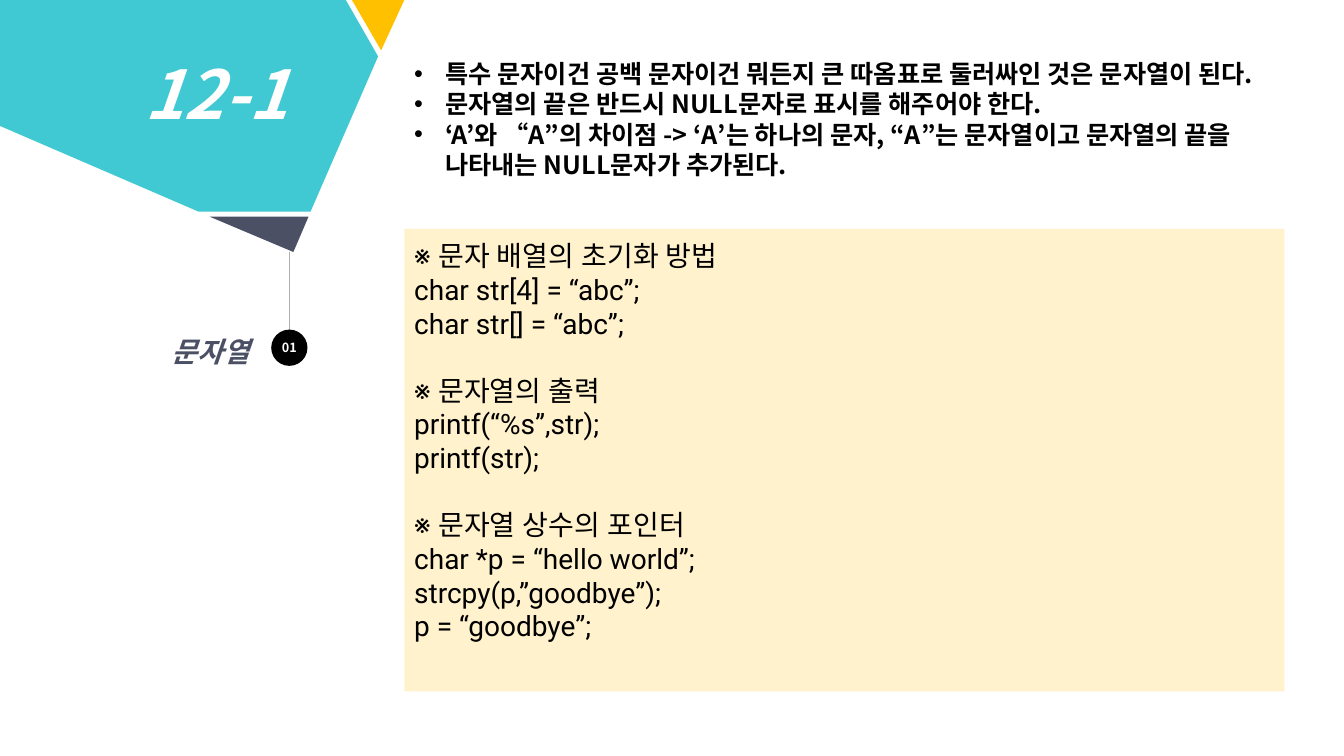
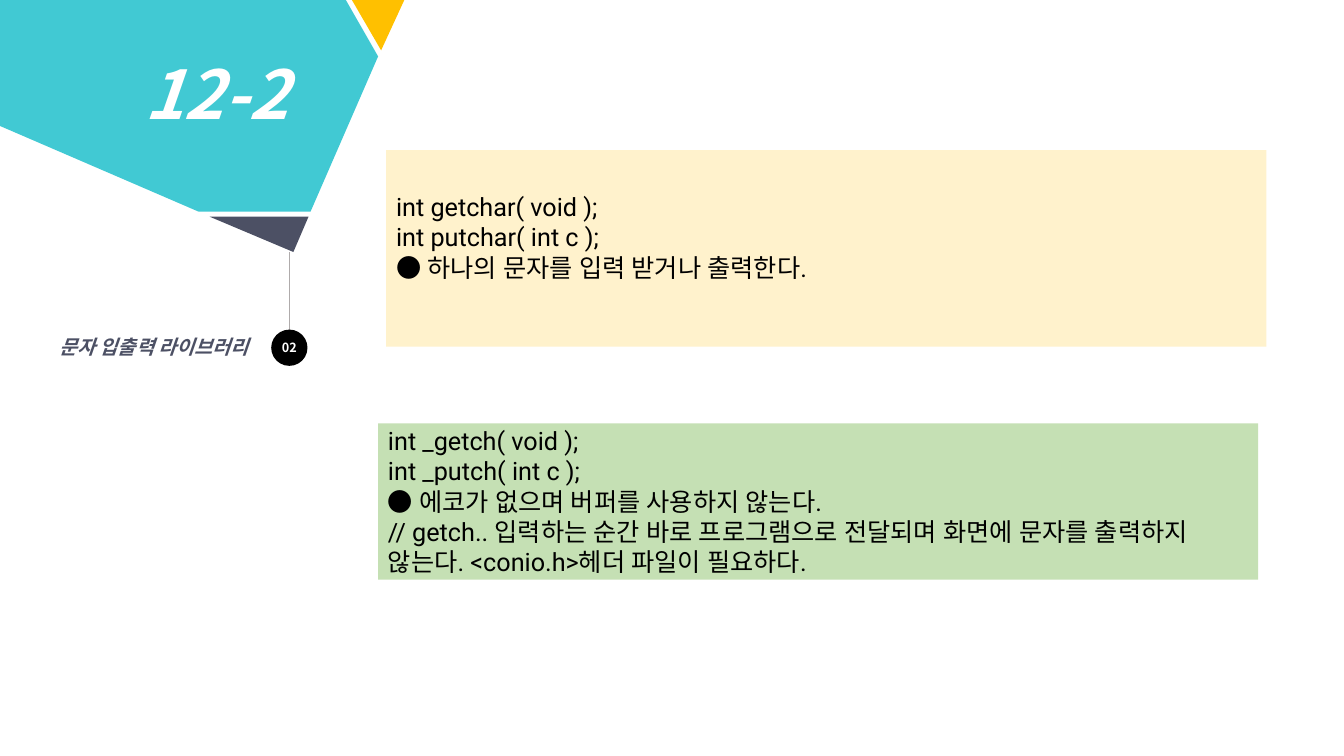
from dataclasses import dataclass

from lxml import etree
from pptx import Presentation
from pptx.dml.color import RGBColor
from pptx.enum.shapes import MSO_CONNECTOR, MSO_SHAPE
from pptx.enum.text import MSO_ANCHOR, MSO_AUTO_SIZE, PP_ALIGN
from pptx.oxml.ns import qn
from pptx.util import Inches, Pt

LEFT, CENTER, RIGHT = PP_ALIGN.LEFT, PP_ALIGN.CENTER, PP_ALIGN.RIGHT
TOP, MIDDLE = MSO_ANCHOR.TOP, MSO_ANCHOR.MIDDLE
NO_AUTOFIT = MSO_AUTO_SIZE.NONE
RECTANGLE, OVAL = MSO_SHAPE.RECTANGLE, MSO_SHAPE.OVAL
STRAIGHT = MSO_CONNECTOR.STRAIGHT

WHITE = RGBColor(0xFF, 0xFF, 0xFF)
BLACK = RGBColor(0x00, 0x00, 0x00)
TEAL = RGBColor(0x41, 0xC9, 0xD3)
AMBER = RGBColor(0xFF, 0xC0, 0x00)
SLATE = RGBColor(0x4C, 0x50, 0x64)
GRAY = RGBColor(0xAF, 0xAB, 0xAB)
CREAM = RGBColor(0xFF, 0xF2, 0xCC)
GREEN = RGBColor(0xC5, 0xE0, 0xB4)

HEADING_FONT, CODE_FONT = "Noto Sans CJK KR", "Roboto"
BULLET_INDENT = Inches(0.31)


@dataclass(frozen=True)
class Box:
    left: float
    top: float
    width: float
    height: float

    def emu(self) -> tuple:
        return tuple(Inches(v) for v in (self.left, self.top, self.width, self.height))


@dataclass(frozen=True)
class Style:
    size: float
    color: RGBColor = BLACK
    font: str = HEADING_FONT
    bold: bool = True
    italic: bool = False
    align: PP_ALIGN = LEFT


@dataclass(frozen=True)
class Facet:
    color: RGBColor
    points: tuple


@dataclass(frozen=True)
class CodePanel:
    box: Box
    fill: RGBColor
    size: float
    top_inset: float
    groups: tuple  # groups of lines, set apart by one line of space


@dataclass(frozen=True)
class Section:
    title: str
    number: str
    topic: str
    topic_size: float
    panels: tuple
    bullets: tuple = ()


FACETS = (
    Facet(AMBER, ((3.49, 0), (4.01, 0), (3.78, 0.5))),
    Facet(TEAL, ((0, 0), (3.43, 0), (3.75, 0.56), (3.08, 2.1), (1.97, 2.1), (0, 1.25))),
    Facet(SLATE, ((2.08, 2.15), (3.06, 2.15), (2.91, 2.5))),
)
TITLE_BOX = Box(1.33, 0.47, 1.65, 0.91)
TOPIC_BOX = Box(0.16, 3.27, 2.41, 0.44)
BADGE_BOX = Box(2.69, 3.27, 0.36, 0.36)
BULLETS_BOX = Box(4.01, 0.53, 8.74, 1.62)

SECTIONS = (
    Section(
        "12-1", "01", "문자열", 20,
        panels=(
            CodePanel(Box(4.01, 2.27, 8.73, 4.59), CREAM, 20, 0.1, (
                ("※ 문자 배열의 초기화 방법",
                 "char str[4] = “abc”;",
                 "char str[] = “abc”;"),
                ("※ 문자열의 출력",
                 "printf(“%s”,str);",
                 "printf(str);"),
                ("※ 문자열 상수의 포인터",
                 "char *p = “hello world”;",
                 "strcpy(p,”goodbye”);",
                 "p = “goodbye”;"),
            )),
        ),
        bullets=(
            "특수 문자이건 공백 문자이건 뭐든지 큰 따옴표로 둘러싸인 것은 문자열이 된다.",
            "문자열의 끝은 반드시 NULL문자로 표시를 해주어야 한다.",
            "‘A’와 “A”의 차이점 -> ‘A’는 하나의 문자, “A”는 문자열이고 "
            "문자열의 끝을 나타내는 NULL문자가 추가된다.",
        ),
    ),
    Section(
        "12-2", "02", "문자 입출력 라이브러리", 14,
        panels=(
            CodePanel(Box(3.83, 1.49, 8.73, 1.95), CREAM, 18, 0.41, (
                ("int getchar( void );",
                 "int putchar( int c );",
                 "● 하나의 문자를 입력 받거나 출력한다."),
            )),
            CodePanel(Box(3.75, 4.2, 8.73, 1.55), GREEN, 18, 0.02, (
                ("int _getch( void );",
                 "int _putch( int c );",
                 "● 에코가 없으며 버퍼를 사용하지 않는다.",
                 "// getch.. 입력하는 순간 바로 프로그램으로 전달되며 화면에 문자를 "
                 "출력하지 않는다. <conio.h>헤더 파일이 필요하다."),
            )),
        ),
    ),
)


# Text helpers
def set_frame(frame, anchor=TOP, insets=(0.1, 0.05, 0.1, 0.05), wrap=True) -> None:
    frame.auto_size = NO_AUTOFIT
    frame.word_wrap = wrap
    frame.vertical_anchor = anchor
    (frame.margin_left, frame.margin_top,
     frame.margin_right, frame.margin_bottom) = map(Inches, insets)


def write_line(paragraph, text: str, style: Style) -> None:
    paragraph.alignment = style.align
    run = paragraph.add_run()
    run.text = text
    font = run.font
    font.name, font.size = style.font, Pt(style.size)
    font.bold, font.italic = style.bold, style.italic
    font.color.rgb = style.color
    # Hangul takes its typeface from the East Asian slot
    latin = run._r.get_or_add_rPr().find(qn("a:latin"))
    east_asian = etree.Element(qn("a:ea"), typeface=style.font)
    latin.addnext(east_asian)


def write_lines(frame, lines, style: Style) -> list:
    paragraphs = []
    for i, line in enumerate(lines):
        paragraph = frame.paragraphs[0] if i == 0 else frame.add_paragraph()
        write_line(paragraph, line, style)
        paragraphs.append(paragraph)
    return paragraphs


def add_bullet(paragraph) -> None:
    properties = paragraph._p.get_or_add_pPr()
    properties.set("marL", str(BULLET_INDENT))
    properties.set("indent", str(-BULLET_INDENT))
    etree.SubElement(properties, qn("a:buFont"), typeface="Arial")
    etree.SubElement(properties, qn("a:buChar"), char="•")


# Shape helpers
def paint(shape, color: RGBColor) -> None:
    shape.shadow.inherit = False
    shape.fill.solid()
    shape.fill.fore_color.rgb = color
    shape.line.fill.background()


def add_filled(slide, kind: MSO_SHAPE, box: Box, color: RGBColor):
    shape = slide.shapes.add_shape(kind, *box.emu())
    paint(shape, color)
    return shape


def add_text(slide, box: Box, lines, style: Style) -> list:
    frame = slide.shapes.add_textbox(*box.emu()).text_frame
    set_frame(frame)
    return write_lines(frame, lines, style)


# Parts of a slide
def draw_facets(slide) -> None:
    for facet in FACETS:
        start, *rest = [(Inches(x), Inches(y)) for x, y in facet.points]
        builder = slide.shapes.build_freeform(*start, scale=1.0)
        builder.add_line_segments(rest, close=True)
        paint(builder.convert_to_shape(), facet.color)


def draw_stem(slide) -> None:
    x = Inches(2.87)
    stem = slide.shapes.add_connector(STRAIGHT, x, Inches(2.5), x, Inches(3.63))
    stem.line.color.rgb = GRAY
    stem.line.width = Pt(0.5)
    etree.SubElement(stem._element.spPr, qn("a:effectLst"))


def draw_topic(slide, section: Section) -> None:
    badge = add_filled(slide, OVAL, BADGE_BOX, BLACK)
    set_frame(badge.text_frame, MIDDLE, (0, 0, 0, 0))
    write_lines(badge.text_frame, [section.number], Style(9, WHITE, align=CENTER))
    add_text(slide, TOPIC_BOX, [section.topic],
             Style(section.topic_size, SLATE, italic=True, align=RIGHT))


def draw_title(slide, text: str) -> None:
    title = slide.shapes.title
    title.left, title.top, title.width, title.height = TITLE_BOX.emu()
    set_frame(title.text_frame, wrap=False)
    write_lines(title.text_frame, [text], Style(48, WHITE, italic=True))
    # Bring the title in front of the teal facet
    title._element.getparent().append(title._element)


def draw_panel(slide, panel: CodePanel) -> None:
    frame = add_filled(slide, RECTANGLE, panel.box, panel.fill).text_frame
    set_frame(frame, TOP, (0.1, panel.top_inset, 0.1, 0))
    lines = [line for group in panel.groups for line in group]
    paragraphs = write_lines(frame, lines, Style(panel.size, font=CODE_FONT, bold=False))
    first = 0
    for group in panel.groups[:-1]:
        first += len(group)
        paragraphs[first].space_before = Pt(panel.size * 1.2)


def draw_section(deck, section: Section) -> None:
    slide = deck.slides.add_slide(deck.slide_layouts[5])
    for panel in section.panels:
        draw_panel(slide, panel)
    draw_stem(slide)
    draw_facets(slide)
    draw_topic(slide, section)
    draw_title(slide, section.title)
    if section.bullets:
        for paragraph in add_text(slide, BULLETS_BOX, section.bullets, Style(18)):
            add_bullet(paragraph)


def main() -> None:
    deck = Presentation()
    deck.slide_width, deck.slide_height = Inches(13.33), Inches(7.5)
    for section in SECTIONS:
        draw_section(deck, section)
    deck.save("out.pptx")


main()
